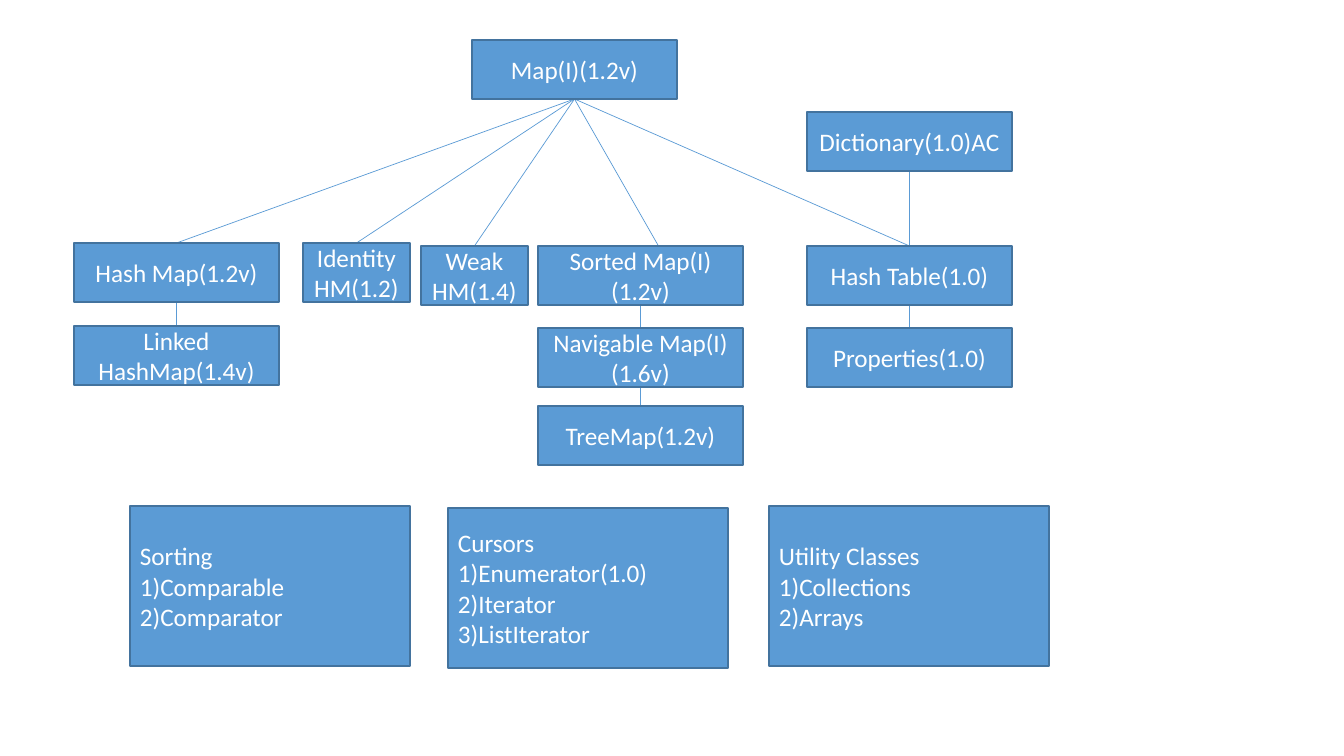
from collections import namedtuple

from lxml import etree
from pptx import Presentation
from pptx.dml.color import RGBColor
from pptx.enum.shapes import MSO_CONNECTOR, MSO_SHAPE
from pptx.enum.text import MSO_ANCHOR, PP_ALIGN
from pptx.oxml.ns import qn
from pptx.util import Emu, Pt

RECTANGLE = MSO_SHAPE.RECTANGLE
STRAIGHT = MSO_CONNECTOR.STRAIGHT
MIDDLE = MSO_ANCHOR.MIDDLE
CENTER, LEFT = PP_ALIGN.CENTER, PP_ALIGN.LEFT

PIXELS_PER_INCH = 100.8
BLANK_LAYOUT = 6
FONT, FONT_SIZE = "Calibri", 18
BLUE, DARK_BLUE, WHITE = "5B9BD5", "43739E", "FFFFFF"

Box = namedtuple("Box", "left top width height")

# Hierarchy: name -> (text, left, top, width), relative to its region
NODE_HEIGHT, WIDE, NARROW = 59, 205, 107
NODES = {
    "map": ("Map(I)(1.2v)", 398, 0, WIDE),
    "dictionary": ("Dictionary(1.0)AC", 733, 72, WIDE),
    "hash map": ("Hash Map(1.2v)", 0, 203, WIDE),
    "linked": ("Linked HashMap(1.4v)", 0, 286, WIDE),
    "identity": ("Identity HM(1.2)", 229, 203, NARROW),
    "weak": ("Weak HM(1.4)", 347, 206, NARROW),
    "sorted": ("Sorted Map(I)(1.2v)", 464, 206, WIDE),
    "navigable": ("Navigable Map(I)(1.6v)", 464, 288, WIDE),
    "tree": ("TreeMap(1.2v)", 464, 366, WIDE),
    "hash table": ("Hash Table(1.0)", 733, 206, WIDE),
    "properties": ("Properties(1.0)", 733, 288, WIDE),
}
# Parent, child, sideways shift of the line's lower end
LINKS = [
    ("map", "hash map", 0),
    ("map", "identity", 0),
    ("map", "weak", 0),
    ("map", "sorted", 18),
    ("map", "hash table", 0),
    ("dictionary", "hash table", 0),
    ("hash map", "linked", 0),
    ("sorted", "navigable", 0),
    ("navigable", "tree", 0),
    ("hash table", "properties", 0),
]

# Panels: left and top relative to their region, then the lines of text
PANEL_WIDTH, PANEL_HEIGHT = 280, 160
PANELS = [
    (0, 0, ["Sorting", "1)Comparable", "2)Comparator"]),
    (318, 2, ["Cursors", "1)Enumerator(1.0)", "2)Iterator", "3)ListIterator"]),
    (639, 0, ["Utility Classes", "1)Collections", "2)Arrays"]),
]


def px(pixels):
    return Emu(round(pixels * 914400 / PIXELS_PER_INCH))


def color(hex_string):
    return RGBColor.from_string(hex_string)


def add_box(slide, box, text, alignment):
    shape = slide.shapes.add_shape(RECTANGLE, *map(px, box))
    shape.shadow.inherit = False
    shape.fill.solid()
    shape.fill.fore_color.rgb = color(BLUE)
    shape.line.color.rgb = color(DARK_BLUE)
    shape.line.width = Pt(1)
    text_frame = shape.text_frame
    text_frame.text = text
    text_frame.word_wrap = True
    text_frame.vertical_anchor = MIDDLE
    for paragraph in text_frame.paragraphs:
        paragraph.alignment = alignment
        for run in paragraph.runs:
            run.font.name = FONT
            run.font.size = Pt(FONT_SIZE)
            run.font.color.rgb = color(WHITE)


def add_link(slide, parent, child, shift):
    connector = slide.shapes.add_connector(
        STRAIGHT,
        px(parent.left + parent.width / 2), px(parent.top + parent.height),
        px(child.left + child.width / 2 + shift), px(child.top))
    connector.line.color.rgb = color(BLUE)
    connector.line.width = Pt(0.5)
    etree.SubElement(connector._element.spPr, qn("a:effectLst"))


def add_hierarchy(slide, region):
    boxes = {name: Box(region.left + left, region.top + top, width, NODE_HEIGHT)
             for name, (_, left, top, width) in NODES.items()}
    # Lines lie behind the boxes
    for parent, child, shift in LINKS:
        add_link(slide, boxes[parent], boxes[child], shift)
    for name, box in boxes.items():
        add_box(slide, box, NODES[name][0], CENTER)


def add_panels(slide, region):
    for left, top, lines in PANELS:
        box = Box(region.left + left, region.top + top, PANEL_WIDTH, PANEL_HEIGHT)
        add_box(slide, box, "\n".join(lines), LEFT)


presentation = Presentation()
presentation.slide_width = px(1344)
presentation.slide_height = px(756)
slide = presentation.slides.add_slide(presentation.slide_layouts[BLANK_LAYOUT])
add_hierarchy(slide, Box(74, 40, 938, 425))
add_panels(slide, Box(130, 506, 919, 162))
presentation.save("out.pptx")
